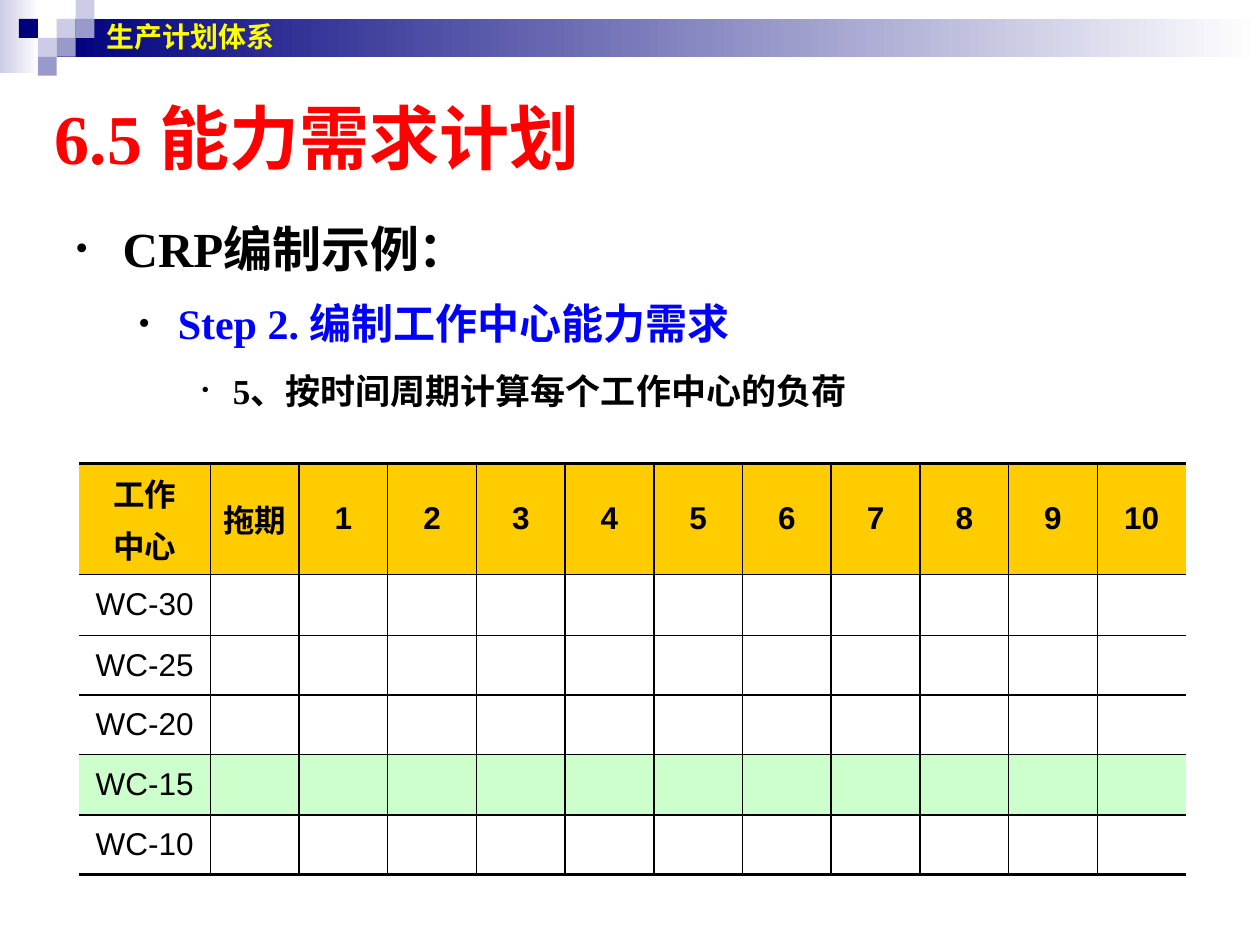
from lxml.etree import SubElement
from pptx import Presentation
from pptx.dml.color import RGBColor
from pptx.enum.shapes import MSO_SHAPE
from pptx.enum.text import MSO_ANCHOR, MSO_AUTO_SIZE, PP_ALIGN
from pptx.oxml.ns import qn
from pptx.util import Pt

BLACK = RGBColor(0, 0, 0)
WHITE = RGBColor(255, 255, 255)
RED = RGBColor(255, 0, 0)
BLUE = RGBColor(0, 0, 255)
YELLOW = RGBColor(255, 255, 0)
NAVY = RGBColor(0, 0, 0x7D)
PALE = RGBColor(0xCC, 0xCC, 0xE6)
LILAC = RGBColor(0x99, 0x99, 0xCC)
GOLD = RGBColor(0xFF, 0xCC, 0)
MINT = RGBColor(0xCC, 0xFF, 0xCC)

SERIF = "Times New Roman"
TILE = 10.8
TILES = [(3, 1, PALE), (4, 0, PALE), (4, 1, LILAC), (2, 2, PALE),
         (1, 1, NAVY), (3, 2, LILAC), (2, 3, LILAC)]
POINTS = [
    ("CRP编制示例：", 28, BLACK, 1.4, 27, 27, 75),
    ("Step 2. 编制工作中心能力需求", 24, BLUE, 1.4, 58.5, 22.5, 80),
    ("5、按时间周期计算每个工作中心的负荷", 20, BLACK, 1.5, 90, 18, 65),
]
HEADS = ["工作\n中心", "拖期"] + [str(week) for week in range(1, 11)]
CENTERS = ["WC-30", "WC-25", "WC-20", "WC-15", "WC-10"]
HEIGHTS = [63.2, 35, 34, 34, 34.7, 34]


def apply(item, values):
    """Set each named value on the item."""
    for name, value in values.items():
        setattr(item, name, value)


def write(para, text, size, color, face="Arial", bold=True):
    """Add one formatted run to a paragraph."""
    run = para.add_run()
    run.text = text
    apply(run.font, {"size": Pt(size), "name": face, "bold": bold})
    run.font.color.rgb = color


def add_rect(slide, left, top, width, height, *colors):
    """Draw a rectangle with a plain or left-to-right gradient fill."""
    rect = slide.shapes.add_shape(
        MSO_SHAPE.RECTANGLE, Pt(left), Pt(top), Pt(width), Pt(height))
    rect.shadow.inherit = False
    rect.line.fill.background()
    if len(colors) == 1:
        rect.fill.solid()
        rect.fill.fore_color.rgb = colors[0]
        return
    rect.fill.gradient()
    rect.fill.gradient_angle = 0
    for stop, color in zip(rect.fill.gradient_stops, colors):
        stop.color.rgb = color


def add_banner(slide):
    """Draw the top band, its tiles and the section name."""
    add_rect(slide, 0, 0, 22.3, 41.8, PALE, WHITE)
    add_rect(slide, 32.4, 10.8, 687.6, 21.6, NAVY, WHITE)
    for col, row, color in TILES:
        add_rect(slide, col * TILE, row * TILE, TILE, TILE, color)
    frame = add_frame(slide, 54, 0, 635.8, 41.8)
    frame.vertical_anchor = MSO_ANCHOR.MIDDLE
    write(frame.paragraphs[0], "生产计划体系", 16, YELLOW)


def add_frame(slide, left, top, width, height):
    """Add a wrapping text box and return its frame."""
    box = slide.shapes.add_textbox(Pt(left), Pt(top), Pt(width), Pt(height))
    box.text_frame.word_wrap = True
    return box.text_frame


def set_title(slide):
    """Place and fill the title."""
    title = slide.shapes.title
    apply(title, {"left": Pt(24), "top": Pt(54),
                  "width": Pt(648), "height": Pt(48)})
    frame = title.text_frame
    apply(frame, {"auto_size": MSO_AUTO_SIZE.NONE, "word_wrap": True,
                  "vertical_anchor": MSO_ANCHOR.MIDDLE})
    para = frame.paragraphs[0]
    para.alignment = PP_ALIGN.LEFT
    write(para, "6.5 能力需求计划", 40, RED, SERIF)


def add_points(slide):
    """Add the three-level bullet list."""
    frame = add_frame(slide, 36, 108, 660, 180)
    for level, point in enumerate(POINTS):
        text, size, color, space, left, hang, scale = point
        para = frame.add_paragraph() if level else frame.paragraphs[0]
        props = para._p.get_or_add_pPr()
        props.set("marL", str(Pt(left)))
        props.set("indent", str(-Pt(hang)))
        tint = SubElement(props, qn("a:buClr"))
        SubElement(tint, qn("a:srgbClr"), val=str(BLACK))
        SubElement(props, qn("a:buSzPct"), val=str(scale * 1000))
        SubElement(props, qn("a:buFont"), typeface=SERIF)
        SubElement(props, qn("a:buChar"), char="•")
        apply(para, {"level": level, "line_spacing": space})
        write(para, text, size, color, SERIF)


def set_edge(cell, side, width):
    """Draw one cell border, or clear it when the width is zero."""
    props = cell._tc.get_or_add_tcPr()
    line = SubElement(props, qn(f"a:ln{side}"), w=str(Pt(width)))
    if width:
        fill = SubElement(line, qn("a:solidFill"))
        SubElement(fill, qn("a:srgbClr"), val=str(BLACK))
    else:
        SubElement(line, qn("a:noFill"))


def fill_cell(cell, text, color, edges, bold):
    """Format a cell and write its centred lines."""
    apply(cell, {"vertical_anchor": MSO_ANCHOR.MIDDLE,
                 "margin_left": Pt(3), "margin_right": Pt(3),
                 "margin_top": Pt(3.6), "margin_bottom": Pt(3.6)})
    for side, width in edges.items():
        set_edge(cell, side, width)
    if color:
        cell.fill.solid()
        cell.fill.fore_color.rgb = color
    else:
        cell.fill.background()
    if not text:
        return
    frame = cell.text_frame
    for i, part in enumerate(text.split("\n")):
        para = frame.add_paragraph() if i else frame.paragraphs[0]
        para.alignment = PP_ALIGN.CENTER
        if i:
            para.space_before = Pt(3.6)
        write(para, part, 18, BLACK, bold=bold)


def add_loads(slide):
    """Add the load table of work centres by week."""
    rows = [HEADS] + [[name] + [""] * 11 for name in CENTERS]
    fills = {0: GOLD, 4: MINT}
    last, end = len(rows) - 1, len(HEADS) - 1
    table = slide.shapes.add_table(
        len(rows), len(HEADS), Pt(45.2), Pt(265), Pt(632.7),
        Pt(sum(HEIGHTS))).table
    apply(table, {"first_row": False, "horz_banding": False})
    for c, column in enumerate(table.columns):
        column.width = Pt(50.7 if c else 75)
    for r, texts in enumerate(rows):
        table.rows[r].height = Pt(HEIGHTS[r])
        for c, text in enumerate(texts):
            edges = {"L": 1 if c else 0, "R": 1 if c < end else 0,
                     "T": 1 if r else 2.25, "B": 1 if r < last else 2.25}
            fill_cell(table.cell(r, c), text, fills.get(r), edges, r == 0)


def main():
    """Build and save the slide."""
    deck = Presentation()
    apply(deck, {"slide_width": Pt(720), "slide_height": Pt(540)})
    slide = deck.slides.add_slide(deck.slide_layouts[5])
    add_banner(slide)
    set_title(slide)
    add_points(slide)
    add_loads(slide)
    deck.save("out.pptx")


if __name__ == "__main__":
    main()
